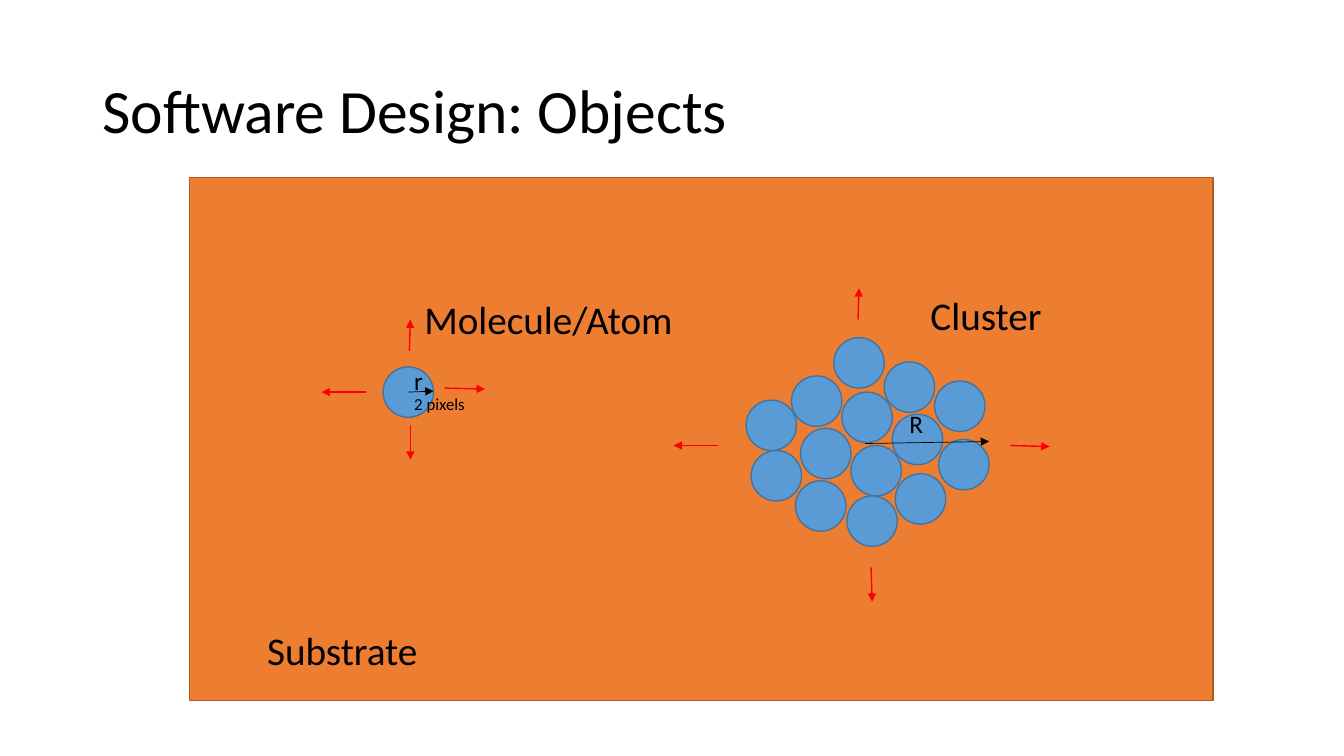
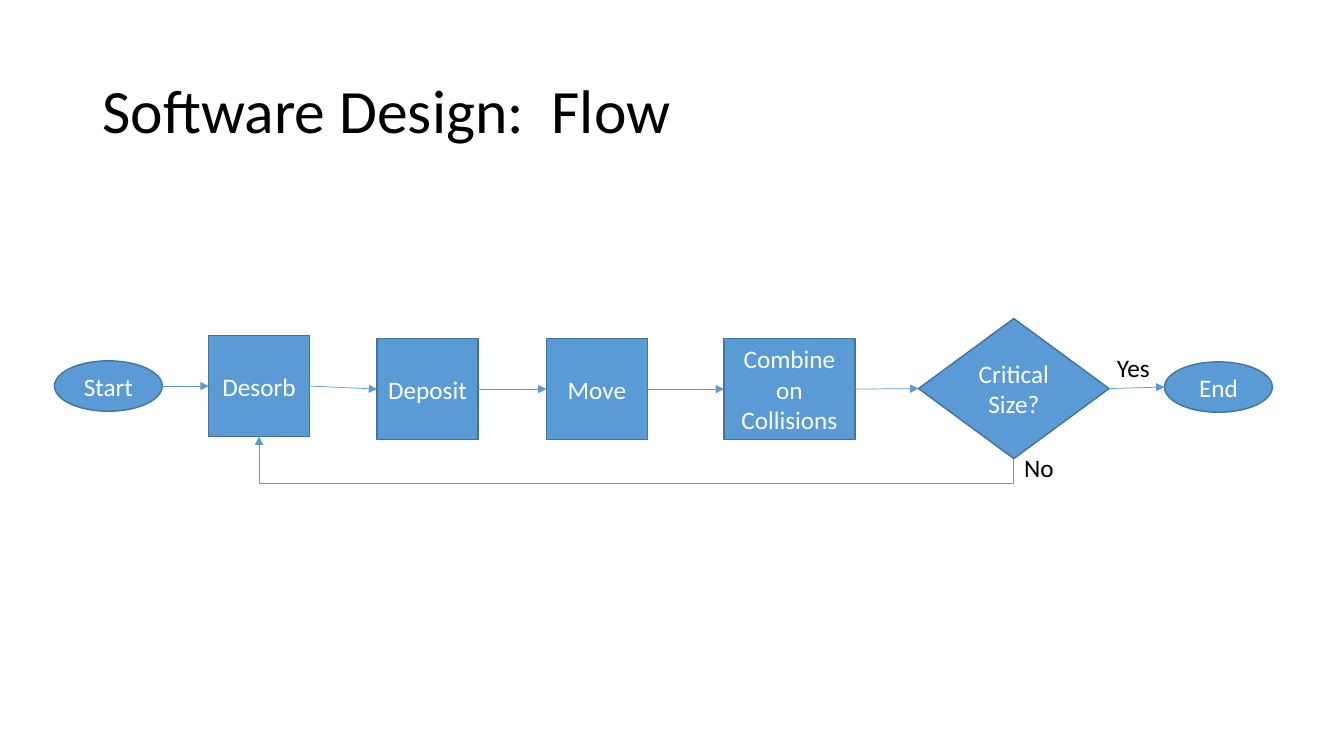
from itertools import pairwise
from typing import NamedTuple

from pptx import Presentation
from pptx.dml.color import RGBColor
from pptx.enum.shapes import MSO_CONNECTOR as Connector, MSO_SHAPE as Preset
from pptx.enum.text import MSO_ANCHOR as Anchor, MSO_AUTO_SIZE as AutoSize, PP_ALIGN as Align
from pptx.oxml.ns import qn
from pptx.shapes.autoshape import Shape
from pptx.shapes.connector import Connector as ConnectorShape
from pptx.slide import Slide
from pptx.util import Inches, Pt
from lxml.etree import SubElement

COLORS = {
    "text": "000000",
    "node_text": "FFFFFF",
    "substrate": "ED7D31",
    "substrate_edge": "AF5C24",
    "node": "5B9BD5",
    "node_edge": "43739E",
    "motion": "FF0000",
}
TITLE_FRAME = {"word_wrap": True, "vertical_anchor": Anchor.MIDDLE}
LABEL_FRAME = {"word_wrap": False, "auto_size": AutoSize.SHAPE_TO_FIT_TEXT}
NODE_FRAME = {"word_wrap": True, "vertical_anchor": Anchor.MIDDLE}
DIAMETER = 0.5
LOOP_DROP = 0.25
TOP, LEFT, BOTTOM, RIGHT = range(4)


class Box(NamedTuple):
    left: float
    top: float
    width: float
    height: float


class Label(NamedTuple):
    text: str
    box: Box
    size: int


class Arrow(NamedTuple):
    start: tuple[float, float]
    end: tuple[float, float]


class Node(NamedTuple):
    text: str
    preset: Preset
    box: Box


TITLE_BOX = Box(0.92, 0.4, 11.5, 1.45)
SUBSTRATE_BOX = Box(1.88, 1.76, 10.15, 5.19)
ATOM = (3.8, 3.64)
CLUSTER = [
    (7.85, 3.73), (8.27, 3.35), (8.35, 3.89), (8.77, 3.59), (9.27, 3.78),
    (9.31, 4.36), (8.88, 4.7), (8.85, 4.11), (8.44, 4.42), (7.94, 4.25),
    (8.4, 4.92), (7.89, 4.77), (7.45, 4.47), (7.4, 3.97),
]
RADII = [Arrow((4.05, 3.89), (4.3, 3.88)), Arrow((8.58, 4.4), (9.81, 4.38))]
MOTIONS = [
    Arrow((4.41, 3.85), (4.81, 3.86)),
    Arrow((4.07, 4.22), (4.07, 4.56)),
    Arrow((3.63, 3.89), (3.19, 3.89)),
    Arrow((4.06, 3.48), (4.07, 3.17)),
    Arrow((10.02, 4.42), (10.41, 4.43)),
    Arrow((8.64, 5.63), (8.65, 5.97)),
    Arrow((7.12, 4.42), (6.68, 4.42)),
    Arrow((8.51, 3.17), (8.52, 2.86)),
]
OBJECT_LABELS = [
    Label("Molecule/Atom", Box(4.11, 2.88, 2.69, 0.57), 28),
    Label("Cluster", Box(9.13, 2.84, 1.32, 0.57), 28),
    Label("r", Box(4.01, 3.58, 0.29, 0.4), 18),
    Label("R", Box(8.92, 4, 0.34, 0.4), 18),
    Label("Substrate", Box(2.55, 6.16, 1.71, 0.57), 28),
    Label("2 pixels", Box(4.01, 3.86, 0.71, 0.3), 12),
]
FLOW_NODES = [
    Node("Start", Preset.FLOWCHART_CONNECTOR, Box(0.54, 3.58, 1.07, 0.5)),
    Node("Desorb", Preset.RECTANGLE, Box(2.07, 3.33, 1, 1)),
    Node("Deposit", Preset.RECTANGLE, Box(3.74, 3.36, 1, 1)),
    Node("Move", Preset.RECTANGLE, Box(5.42, 3.36, 1, 1)),
    Node("Combine on Collisions", Preset.RECTANGLE, Box(7.18, 3.36, 1.3, 1)),
    Node("Critical Size?", Preset.FLOWCHART_DECISION, Box(9.11, 3.16, 1.89, 1.39)),
    Node("End", Preset.FLOWCHART_CONNECTOR, Box(11.55, 3.59, 1.07, 0.5)),
]
FLOW_LABELS = [
    Label("No", Box(10.06, 4.44, 0.5, 0.4), 18),
    Label("Yes", Box(10.98, 3.45, 0.53, 0.4), 18),
]


def color(name: str) -> RGBColor:
    return RGBColor.from_string(COLORS[name])


def set_values(target: object, values: dict) -> None:
    for name, value in values.items():
        setattr(target, name, value)


def write_text(shape: Shape, text: str, size: int, ink: str, frame: dict, paragraph_format: dict) -> None:
    set_values(shape.text_frame, frame)
    paragraph = shape.text_frame.paragraphs[0]
    set_values(paragraph, paragraph_format)
    run = paragraph.add_run()
    run.text = text
    set_values(run.font, {"name": "Calibri", "size": Pt(size)})
    run.font.color.rgb = color(ink)


def add_title(slide: Slide, text: str) -> None:
    shape = slide.shapes.add_textbox(*map(Inches, TITLE_BOX))
    write_text(shape, text, 44, "text", TITLE_FRAME, {"line_spacing": 0.9})


def add_label(slide: Slide, label: Label) -> None:
    shape = slide.shapes.add_textbox(*map(Inches, label.box))
    write_text(shape, label.text, label.size, "text", LABEL_FRAME, {})


def add_filled_shape(slide: Slide, preset: Preset, box: Box, fill: str) -> Shape:
    shape = slide.shapes.add_shape(preset, *map(Inches, box))
    shape.shadow.inherit = False
    shape.fill.solid()
    shape.fill.fore_color.rgb = color(fill)
    shape.line.color.rgb = color(f"{fill}_edge")
    shape.line.width = Pt(1)
    return shape


def add_node(slide: Slide, node: Node) -> Shape:
    shape = add_filled_shape(slide, node.preset, node.box, "node")
    write_text(shape, node.text, 18, "node_text", NODE_FRAME, {"alignment": Align.CENTER})
    return shape


def style_arrow(connector: ConnectorShape, ink: str, width: float) -> None:
    connector.line.color.rgb = color(ink)
    connector.line.width = Pt(width)
    SubElement(connector.get_or_add_ln(), qn("a:tailEnd"), type="triangle")
    SubElement(connector._element.spPr, qn("a:effectLst"))


def add_arrow(slide: Slide, arrow: Arrow, ink: str, width: float) -> ConnectorShape:
    points = map(Inches, (*arrow.start, *arrow.end))
    connector = slide.shapes.add_connector(Connector.STRAIGHT, *points)
    style_arrow(connector, ink, width)
    return connector


def link_nodes(slide: Slide, source: Node, target: Node, shapes: dict[str, Shape]) -> None:
    start = (source.box.left + source.box.width, source.box.top + source.box.height / 2)
    end = (target.box.left, target.box.top + target.box.height / 2)
    connector = add_arrow(slide, Arrow(start, end), "node", 0.5)
    if source.preset != Preset.FLOWCHART_CONNECTOR:
        connector.begin_connect(shapes[source.text], RIGHT)
    if target.preset != Preset.FLOWCHART_CONNECTOR:
        connector.end_connect(shapes[target.text], LEFT)


def add_loop(slide: Slide, source: Shape, target: Shape) -> None:
    connector = slide.shapes.add_connector(Connector.ELBOW, 0, 0, 0, 0)
    connector.begin_connect(source, BOTTOM)
    connector.end_connect(target, BOTTOM)
    start_x, start_y = connector.begin_x, connector.begin_y
    end_x, end_y = connector.end_x, connector.end_y
    span, rise = start_x - end_x, start_y - end_y
    set_values(connector, {
        "left": (start_x + end_x - rise) // 2,
        "top": (start_y + end_y - span) // 2,
        "width": rise,
        "height": span,
    })
    properties = connector._element.spPr
    for name, value in {"rot": "5400000", "flipH": "1", "flipV": "0"}.items():
        properties.find(qn("a:xfrm")).set(name, value)
    geometry = properties.find(qn("a:prstGeom"))
    guides = geometry.find(qn("a:avLst"))
    if guides is None:
        guides = SubElement(geometry, qn("a:avLst"))
    bend = -round(100000 * Inches(LOOP_DROP) / rise)
    SubElement(guides, qn("a:gd"), name="adj1", fmla=f"val {bend}")
    style_arrow(connector, "node", 0.5)


def build_objects(slide: Slide) -> None:
    add_filled_shape(slide, Preset.RECTANGLE, SUBSTRATE_BOX, "substrate")
    add_title(slide, "Software Design: Objects")
    for left, top in [ATOM, *CLUSTER]:
        box = Box(left, top, DIAMETER, DIAMETER)
        add_filled_shape(slide, Preset.FLOWCHART_CONNECTOR, box, "node")
    for arrows, ink, width in [(RADII, "text", 0.5), (MOTIONS, "motion", 1)]:
        for arrow in arrows:
            add_arrow(slide, arrow, ink, width)
    for label in OBJECT_LABELS:
        add_label(slide, label)


def build_flow(slide: Slide) -> None:
    add_title(slide, "Software Design:  Flow")
    shapes = {node.text: add_node(slide, node) for node in FLOW_NODES}
    for source, target in pairwise(FLOW_NODES):
        link_nodes(slide, source, target, shapes)
    add_loop(slide, shapes["Critical Size?"], shapes["Desorb"])
    for label in FLOW_LABELS:
        add_label(slide, label)


def main() -> None:
    presentation = Presentation()
    presentation.slide_width = Inches(13.33)
    presentation.slide_height = Inches(7.5)
    for build in (build_objects, build_flow):
        build(presentation.slides.add_slide(presentation.slide_layouts[6]))
    presentation.save("out.pptx")


if __name__ == "__main__":
    main()
